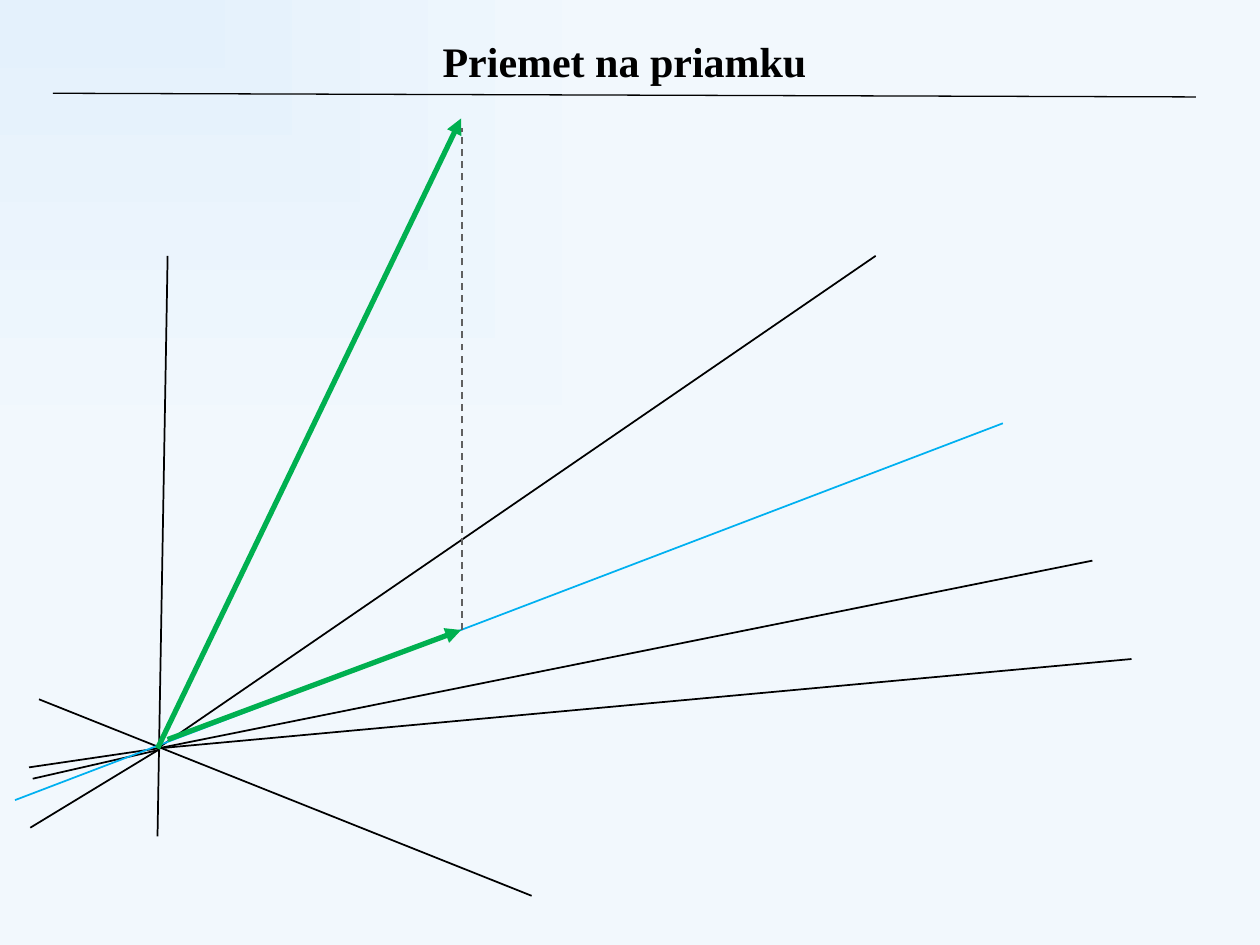
"""Build a slide that shows a vector projected onto a line."""
from lxml.etree import SubElement
from pptx import Presentation
from pptx.dml.color import RGBColor
from pptx.enum.dml import MSO_LINE
from pptx.enum.shapes import MSO_CONNECTOR as CONN
from pptx.enum.text import MSO_ANCHOR as ANCHOR, MSO_AUTO_SIZE as FIT, PP_ALIGN as ALIGN
from pptx.oxml.ns import qn
from pptx.util import Pt

BLACK, BLUE, GREEN, GRAY = "000000", "00B0F0", "00B050", "606060"
ORIGIN = (90, 427.7)
AXES = [
    ((90, 478), (95.8, 146.2)),
    ((22.3, 399.6), (303.8, 511.9)),
    (ORIGIN, (500.4, 146.2)),
    (ORIGIN, (646.6, 376.6)),
    (ORIGIN, (624.2, 320.4)),
    ((16.6, 438.5), ORIGIN),
    ((18.7, 445), (91.4, 428.4)),
    ((17.3, 473), (90.7, 428.4)),
]


def rgb(color):
    return RGBColor.from_string(color)


def format_text(tf, text, *, font="Times New Roman", size=24, color=BLACK, bold=True):
    p = tf.paragraphs[0]
    p.alignment = ALIGN.CENTER
    r = p.add_run()
    r.text = text
    r.font.name, r.font.size, r.font.bold = font, Pt(size), bold
    r.font.color.rgb = rgb(color)


class Deck:
    def __init__(self, width, height):
        self.prs = Presentation()
        self.prs.slide_width, self.prs.slide_height = Pt(width), Pt(height)
        self.s = self.prs.slides.add_slide(self.prs.slide_layouts[5])

    def background(self, *colors):
        fill = self.s.background.fill
        fill.gradient()
        for stop, color in zip(fill.gradient_stops, colors):
            stop.color.rgb = rgb(color)
        grad = self.s.element.find(".//" + qn("a:gradFill"))
        grad.remove(grad.find(qn("a:lin")))
        shade = SubElement(grad, qn("a:path"), path="rect")
        SubElement(shade, qn("a:fillToRect"), r="100000", b="100000")

    def title(self, text, x, y, w, h):
        sp = self.s.shapes.title
        sp.left, sp.top, sp.width, sp.height = Pt(x), Pt(y), Pt(w), Pt(h)
        tf = sp.text_frame
        tf.word_wrap, tf.auto_size = True, FIT.SHAPE_TO_FIT_TEXT
        tf.vertical_anchor = ANCHOR.TOP
        format_text(tf, text)

    def line(self, start, end, color=BLACK, width=1, dash=None, arrow=False):
        points = [Pt(v) for v in (*start, *end)]
        sp = self.s.shapes.add_connector(CONN.STRAIGHT, *points)
        sp.line.color.rgb, sp.line.width = rgb(color), Pt(width)
        if dash:
            sp.line.dash_style = dash
        props = sp.element.spPr
        if arrow:
            SubElement(props.find(qn("a:ln")), qn("a:tailEnd"), type="triangle")
        SubElement(props, qn("a:effectLst"))


def main():
    deck = Deck(720, 540)
    deck.background("E4F1FC", "F2F8FD")
    for start, end in AXES:
        deck.line(start, end)
    deck.line((8.6, 457.2), (573.1, 241.9), BLUE)
    deck.line(ORIGIN, (263.5, 67.7), GREEN, 3, arrow=True)
    deck.line((264.2, 360), (264.2, 73.4), GRAY, dash=MSO_LINE.DASH)
    deck.line((95.8, 422.6), (263.5, 360), GREEN, 3, arrow=True)
    deck.line((30.2, 53.3), (683.3, 55.4), width=0.75)
    deck.title("Priemet na priamku", 240.6, 16.6, 232.6, 36)
    deck.prs.save("out.pptx")


if __name__ == "__main__":
    main()
